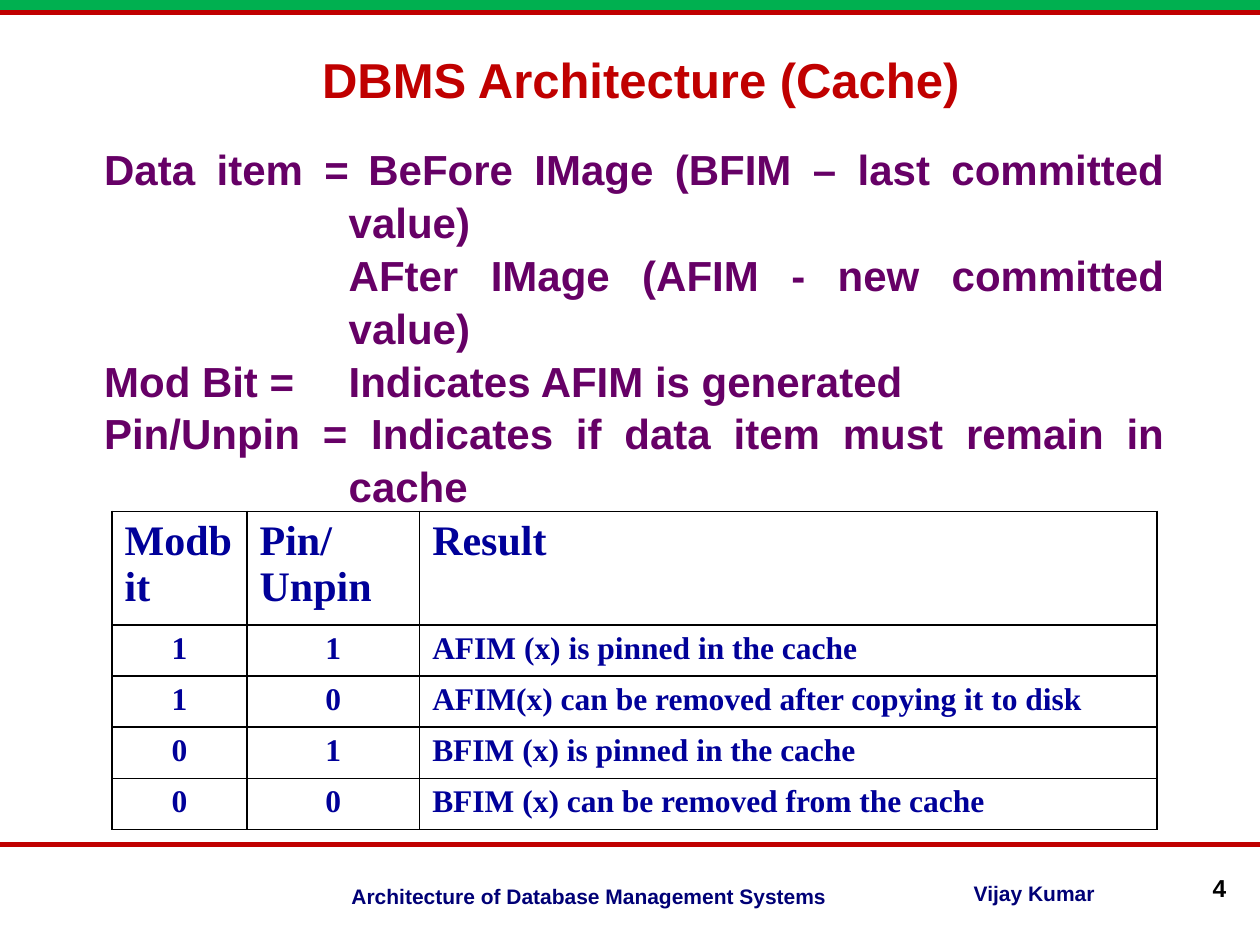
from lxml.etree import SubElement
from pptx import Presentation
from pptx.dml.color import RGBColor
from pptx.enum.shapes import MSO_CONNECTOR as Connector, MSO_SHAPE as Shape
from pptx.enum.text import MSO_ANCHOR as Anchor, PP_ALIGN as Align
from pptx.oxml.ns import qn
from pptx.util import Cm, Pt

RED, GREEN, PURPLE, BLUE, NAVY, BLACK = "C00000", "00B050", "660066", "000099", "000076", "000000"
SLIDE_WIDTH, SLIDE_HEIGHT = 25.4, 19.05
TITLE = "DBMS Architecture (Cache)"
TITLE_BOX = (0.43, 0.43, 24.97, 2.31)
DEFINITIONS = [
    "Data item =\tBeFore IMage (BFIM – last committed value)",
    "\tAFter IMage (AFIM - new committed value)",
    "Mod Bit =\tIndicates AFIM is generated",
    "Pin/Unpin = \tIndicates if data item must remain in cache",
]
DEFINITIONS_BOX = (1.85, 2.72, 21.87, 7.44)
HANGING_INDENT = 4.93
FOOTERS = [
    ("Architecture of Database Management Systems", (6.83, 17.68, 10.08, 0.69), 12, NAVY, Align.RIGHT),
    ("Vijay Kumar", (19.38, 17.63, 3.2, 0.69), 12, NAVY, Align.JUSTIFY),
    ("4", (23.93, 17.48, 1.04, 0.69), 14, BLACK, Align.RIGHT),
]
RULE_HEIGHTS = [0.25, 17.02]
CACHE_STATES = [
    ("Modbit", "Pin/Unpin", "Result"),
    ("1", "1", "AFIM (x) is pinned in the cache"),
    ("1", "0", "AFIM(x) can be removed after copying it to disk"),
    ("0", "1", "BFIM (x) is pinned in the cache"),
    ("0", "0", "BFIM (x) can be removed from the cache"),
]
TABLE_LEFT, TABLE_TOP = 2.26, 10.31
COLUMN_WIDTHS = [2.72, 3.48, 14.86]
HEADER_HEIGHT, ROW_HEIGHT = 2.29, 1.03


def color(value):
    return RGBColor.from_string(value)


def lengths(values):
    return [Cm(value) for value in values]


def write(paragraph, text, size, text_color, align, font_name="Arial"):
    run = paragraph.add_run()
    run.text = text
    paragraph.alignment = align
    for name, value in {"name": font_name, "size": Pt(size), "bold": True}.items():
        setattr(run.font, name, value)
    run.font.color.rgb = color(text_color)


def add_text_box(slide, box):
    frame = slide.shapes.add_textbox(*lengths(box)).text_frame
    frame.word_wrap = True
    return frame


def add_frame(slide):
    for height in RULE_HEIGHTS:
        rule = slide.shapes.add_connector(Connector.STRAIGHT, *lengths((0, height, SLIDE_WIDTH, height)))
        rule.line.color.rgb = color(RED)
        rule.line.width = Pt(3)
        SubElement(rule._element.spPr, qn("a:effectLst"))
    band = slide.shapes.add_shape(Shape.RECTANGLE, *lengths((0, 0, SLIDE_WIDTH, 0.2)))
    band.shadow.inherit = False
    band.fill.solid()
    band.fill.fore_color.rgb = color(GREEN)
    band.line.fill.background()
    for text, box, size, text_color, align in FOOTERS:
        write(add_text_box(slide, box).paragraphs[0], text, size, text_color, align)


def add_title(slide):
    title = slide.shapes.title
    for name, value in zip(("left", "top", "width", "height"), lengths(TITLE_BOX)):
        setattr(title, name, value)
    title.text_frame.vertical_anchor = Anchor.MIDDLE
    write(title.text_frame.paragraphs[0], TITLE, 28, RED, Align.CENTER)


def add_definitions(slide):
    frame = add_text_box(slide, DEFINITIONS_BOX)
    for index, text in enumerate(DEFINITIONS):
        paragraph = frame.add_paragraph() if index else frame.paragraphs[0]
        write(paragraph, text, 24, PURPLE, Align.JUSTIFY)
        paragraph.line_spacing = 1.05
        properties = paragraph._p.get_or_add_pPr()
        properties.set("marL", str(Cm(HANGING_INDENT)))
        properties.set("indent", str(-Cm(HANGING_INDENT)))


def add_borders(cell):
    properties = cell._tc.get_or_add_tcPr()
    for side in ("lnL", "lnR", "lnT", "lnB"):
        line = SubElement(properties, qn(f"a:{side}"), w=str(Pt(1)))
        fill = SubElement(line, qn("a:solidFill"))
        SubElement(fill, qn("a:srgbClr"), val=BLACK)


def add_cache_table(slide):
    heights = [HEADER_HEIGHT] + [ROW_HEIGHT] * (len(CACHE_STATES) - 1)
    box = (TABLE_LEFT, TABLE_TOP, sum(COLUMN_WIDTHS), sum(heights))
    table = slide.shapes.add_table(len(heights), len(COLUMN_WIDTHS), *lengths(box)).table
    table.first_row = table.horz_banding = False
    for column, width in zip(table.columns, COLUMN_WIDTHS):
        column.width = Cm(width)
    for row_index, (row, height, texts) in enumerate(zip(table.rows, heights, CACHE_STATES)):
        row.height = Cm(height)
        for column_index, (cell, text) in enumerate(zip(row.cells, texts)):
            centered = row_index > 0 and column_index < 2
            align = Align.CENTER if centered else Align.LEFT
            size = 18 if row_index else 24
            write(cell.text_frame.paragraphs[0], text, size, BLUE, align, "Times New Roman")
            add_borders(cell)
            cell.fill.background()


def main():
    """Build the cache architecture slide."""
    presentation = Presentation()
    presentation.slide_width, presentation.slide_height = lengths((SLIDE_WIDTH, SLIDE_HEIGHT))
    slide = presentation.slides.add_slide(presentation.slide_layouts[5])
    add_frame(slide)
    add_title(slide)
    add_definitions(slide)
    add_cache_table(slide)
    presentation.save("out.pptx")


if __name__ == "__main__":
    main()
